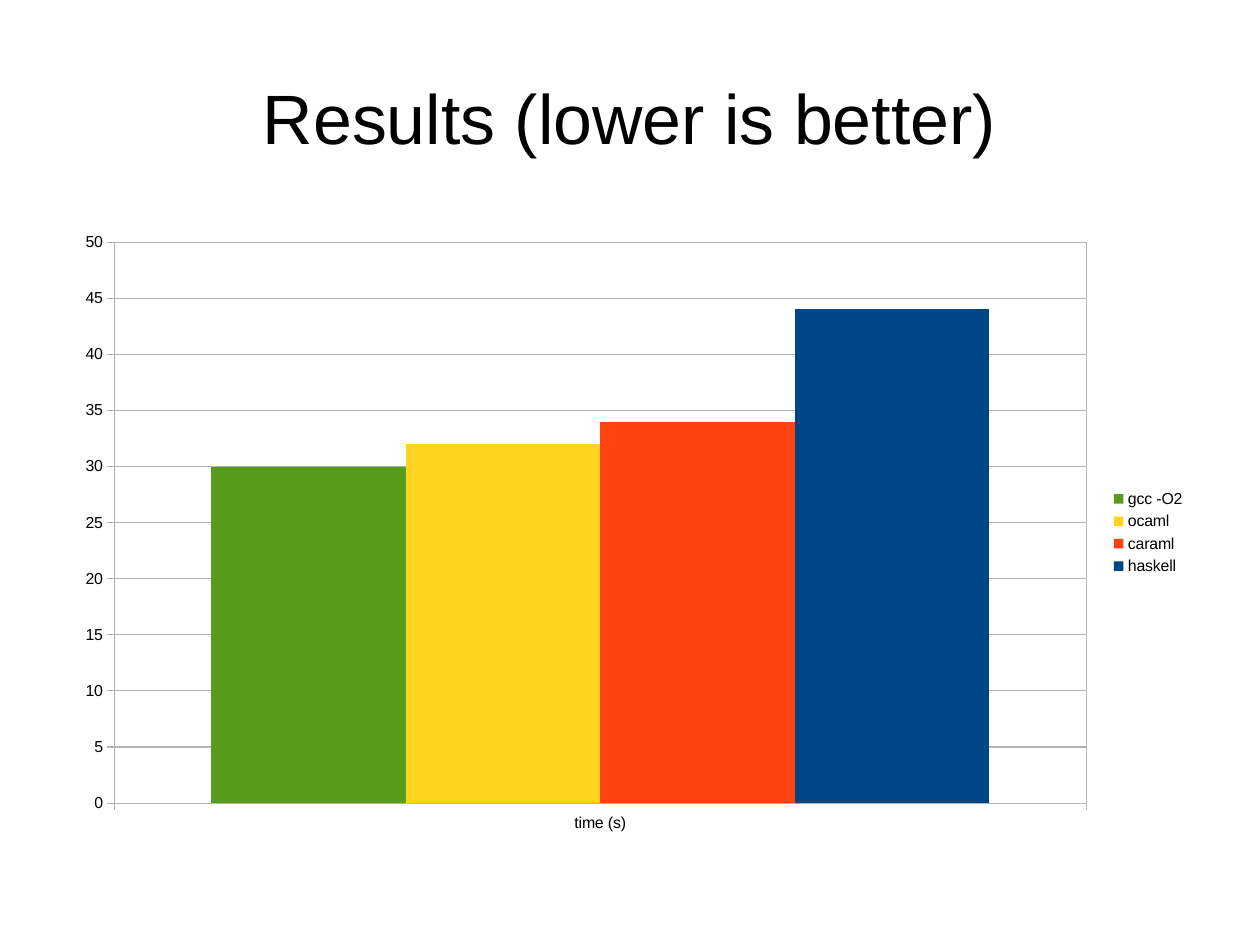
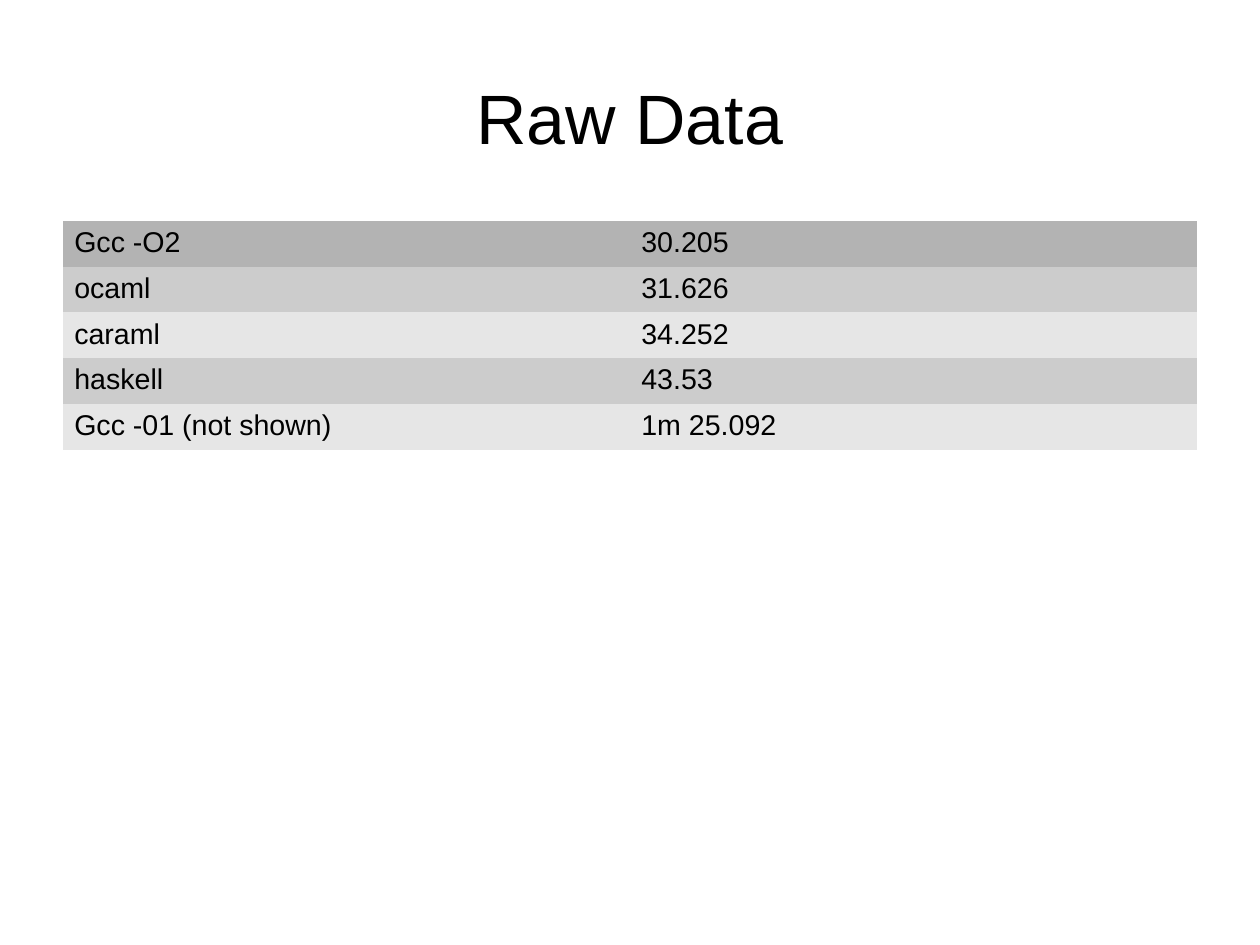
from dataclasses import dataclass

from lxml.etree import SubElement
from pptx import Presentation
from pptx.chart.data import CategoryChartData as Data
from pptx.dml.color import RGBColor as RGB
from pptx.enum.chart import XL_CHART_TYPE as Kind, XL_LEGEND_POSITION as Spot, XL_TICK_MARK as Tick
from pptx.enum.text import MSO_ANCHOR as Anchor, MSO_AUTO_SIZE as Fit, PP_ALIGN as Align
from pptx.oxml import parse_xml
from pptx.oxml.ns import nsdecls, qn
from pptx.util import Pt


@dataclass(frozen=True)
class Theme:
    face: str = "Arial"
    ink: str = "000000"
    paper: str = "FFFFFF"
    rule: str = "B3B3B3"
    head: str = "B3B3B3"
    bands: tuple = ("CCCCCC", "E6E6E6")
    bars: tuple = ("579D1C", "FFD320", "FF420E", "004586")
    title: int = 44
    body: int = 18
    small: int = 10
    left: float = 39.6
    wide: float = 714.4


class Deck:
    """Holds the theme and the current slide, and draws each kind of element."""

    def __init__(self, theme):
        self.theme = theme
        self.show = Presentation()
        self.show.slide_width, self.show.slide_height = Pt(793.7), Pt(595.3)
        self.slide = None

    def box(self, top, high):
        return Pt(self.theme.left), Pt(top), Pt(self.theme.wide), Pt(high)

    def style(self, font, size):
        font.name, font.size = self.theme.face, Pt(size)
        font.color.rgb = RGB.from_string(self.theme.ink)

    def paint(self, fill, tone):
        fill.solid()
        fill.fore_color.rgb = RGB.from_string(tone)

    def page(self, text):
        self.slide = self.show.slides.add_slide(self.show.slide_layouts[5])
        self.paint(self.slide.background.fill, self.theme.paper)
        title = self.slide.shapes.title
        title.left, title.top, title.width, title.height = self.box(23.7, 99.4)
        frame = title.text_frame
        frame.text = text
        frame.auto_size, frame.vertical_anchor = Fit.NONE, Anchor.MIDDLE
        frame.margin_left = frame.margin_top = frame.margin_right = frame.margin_bottom = 0
        frame.paragraphs[0].alignment = Align.CENTER
        self.style(frame.paragraphs[0].font, self.theme.title)

    def rule(self, line):
        line.color.rgb = RGB.from_string(self.theme.rule)
        line.width = Pt(0)

    def chart(self, label, rows, top, high, plot):
        data = Data()
        data.categories = [label]
        for name, value in rows:
            data.add_series(name, [value])
        chart = self.slide.shapes.add_chart(Kind.COLUMN_CLUSTERED, *self.box(top, high), data).chart
        chart.has_title = False
        self.style(chart.font, self.theme.small)
        chart.has_legend = True
        chart.legend.position, chart.legend.include_in_layout = Spot.RIGHT, False
        self.style(chart.legend.font, self.theme.small)
        group = chart.plots[0]
        group.gap_width, group.overlap, group.vary_by_categories = 100, 0, False
        for series, tone in zip(group.series, self.theme.bars):
            self.paint(series.format.fill, tone)
            series.format.line.fill.background()
        for axis in (chart.category_axis, chart.value_axis):
            axis.major_tick_mark, axis.minor_tick_mark = Tick.OUTSIDE, Tick.NONE
            self.style(axis.tick_labels.font, self.theme.small)
            self.rule(axis.format.line)
        scale = chart.value_axis
        scale.minimum_scale, scale.maximum_scale, scale.major_unit = 0, 50, 5
        scale.has_major_gridlines = True
        self.rule(scale.major_gridlines.format.line)
        self.frame(chart, high, plot)

    def frame(self, chart, high, plot):
        area = chart.element.find(".//" + qn("c:plotArea"))
        for old in area.findall(qn("c:layout")):
            area.remove(old)
        layout = parse_xml(f"<c:layout {nsdecls('c')}><c:manualLayout/></c:layout>")
        parts = [part / side for part, side in zip(plot, (self.theme.wide, high) * 2)]
        marks = [("layoutTarget", "inner"), ("xMode", "edge"), ("yMode", "edge"), *zip("xywh", parts)]
        for tag, value in marks:
            SubElement(layout[0], qn("c:" + tag), val=str(value))
        area.insert(0, layout)
        area.append(parse_xml(
            f"<c:spPr {nsdecls('c', 'a')}><a:noFill/><a:ln w='0'><a:solidFill>"
            f"<a:srgbClr val='{self.theme.rule}'/></a:solidFill></a:ln></c:spPr>"))

    def table(self, rows, top, step):
        area = self.box(top, step * len(rows))
        table = self.slide.shapes.add_table(len(rows), len(rows[0]), *area).table
        table.first_row = table.horz_banding = False
        plain = "{2D5ABB26-0587-4C30-8999-92F81FD0307C}"
        table._tbl.tblPr.find(qn("a:tableStyleId")).text = plain
        for i, row in enumerate(rows):
            tone = self.theme.bands[(i - 1) % 2] if i else self.theme.head
            for j, text in enumerate(row):
                cell = table.cell(i, j)
                cell.text = text
                self.paint(cell.fill, tone)
                self.style(cell.text_frame.paragraphs[0].font, self.theme.body)


def main():
    deck = Deck(Theme())
    deck.page("Results (lower is better)")
    times = [("gcc -O2", 30), ("ocaml", 32), ("caraml", 34), ("haskell", 44)]
    deck.chart("time (s)", times, 139, 393, (32.3, 13.6, 612.4, 353.4))
    deck.page("Raw Data")
    deck.table([
        ("Gcc -O2", "30.205"),
        ("ocaml", "31.626"),
        ("caraml", "34.252"),
        ("haskell", "43.53"),
        ("Gcc -01 (not shown)", "1m 25.092"),
    ], 139, 28.9)
    deck.show.save("out.pptx")


if __name__ == "__main__":
    main()
